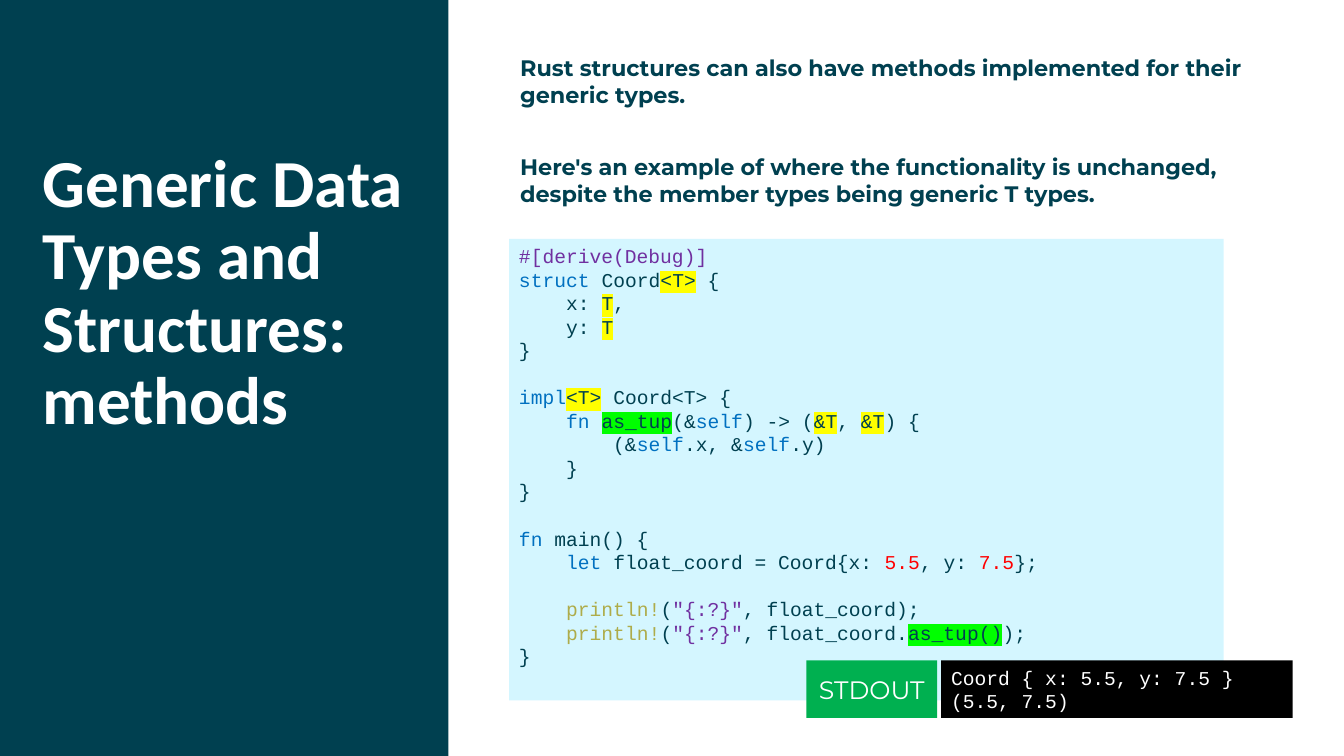
from dataclasses import dataclass, field

from lxml.etree import SubElement
from pptx import Presentation
from pptx.dml.color import RGBColor
from pptx.enum.shapes import MSO_SHAPE
from pptx.enum.text import MSO_ANCHOR, PP_ALIGN
from pptx.oxml.ns import qn
from pptx.util import Cm, Pt

TEAL, WHITE = "004050", "FFFFFF"

# Tag letter -> text colour, highlight
TAGS = {
    "k": ("0070C0", ""),
    "a": ("7030A0", ""),
    "n": ("FF0000", ""),
    "m": ("AEAC4A", ""),
    "t": (TEAL, "FFFF00"),
    "f": (TEAL, "00FF00"),
}

CODE = """~a:#[derive(Debug)]~
~k:struct~ Coord~t:<T>~ {
    x: ~t:T~,
    y: ~t:T~
}

~k:impl~~t:<T>~ Coord<T> {
    ~k:fn ~~f:as_tup~(&~k:self~) -> (~t:&T~, ~t:&T~) {
        (&~k:self~.x, &~k:self~.y)
    }
}

~k:fn~ main() {
    ~k:let ~float_coord = Coord{x: ~n:5.5~, y: ~n:7.5~};

    ~m:println!~(~a:"{:?}"~, float_coord);
    ~m:println!~(~a:"{:?}"~, float_coord.~f:as_tup()~);
}"""

INTRO = """Rust structures can also have methods implemented for their generic types.

Here's an example of where the functionality is unchanged, despite the member types being generic T types."""


@dataclass
class Box:
    left: float
    top: float
    width: float
    height: float
    text: str = ""
    fill: str = ""
    color: str = TEAL
    gap: float = 0
    inset: tuple[float, float] = (0.25, 0.13)
    font: dict = field(default_factory=dict)
    frame: dict = field(default_factory=dict)
    para: dict = field(default_factory=dict)


MONO = {"name": "Courier New", "size": Pt(14)}

BOXES = [
    Box(0, 0, 11.3, 19.05, fill=TEAL),
    Box(1.07, 3.76, 9.58, 7.65, "Generic Data Types and Structures: methods",
        color=WHITE, inset=(0, 0), para={"line_spacing": 0.9},
        font={"name": "Calibri", "size": Pt(48), "bold": True}),
    Box(13.11, 1.37, 19.69, 3.35, INTRO, gap=32.3, inset=(0, 0),
        font={"name": "Montserrat", "size": Pt(16), "bold": True}),
    Box(12.83, 6.02, 18.01, 11.63, CODE, "D4F6FF", gap=16.8, font=MONO),
    Box(20.32, 16.64, 3.3, 1.45, "STDOUT", "00B050", WHITE,
        font={"name": "Montserrat", "size": Pt(18)},
        frame={"vertical_anchor": MSO_ANCHOR.MIDDLE},
        para={"alignment": PP_ALIGN.CENTER}),
    Box(23.72, 16.64, 8.86, 1.45, "Coord { x: 5.5, y: 7.5 }\n(5.5, 7.5)",
        "000000", WHITE, font=MONO),
]


def rgb(code: str) -> RGBColor:
    return RGBColor.from_string(code)


def apply(target, values: dict) -> None:
    for key, value in values.items():
        setattr(target, key, value)


def mark(run, color: str) -> None:
    """Highlight a run whose text colour is already set."""
    props = run.font._element
    light = SubElement(props, qn("a:highlight"))
    SubElement(light, qn("a:srgbClr"), val=color)
    props.find(qn("a:solidFill")).addnext(light)


def add_line(para, line: str, box: Box) -> None:
    """Write one line; pieces between tildes carry a tag letter."""
    for i, piece in enumerate(line.split("~")):
        if not piece:
            continue
        color, light = box.color, ""
        if i % 2:
            tag, _, piece = piece.partition(":")
            color, light = TAGS[tag]
        run = para.add_run()
        run.text = piece
        apply(run.font, box.font)
        run.font.color.rgb = rgb(color)
        if light:
            mark(run, light)


def add_text(frame, box: Box) -> None:
    """Fill a frame; an empty line becomes space before the next one."""
    side, edge = map(Cm, box.inset)
    apply(frame, {"word_wrap": True, "vertical_anchor": MSO_ANCHOR.TOP,
                  "margin_left": side, "margin_right": side,
                  "margin_top": edge, "margin_bottom": edge, **box.frame})
    lines = box.text.split("\n")
    para = frame.paragraphs[0]
    for i, line in enumerate(lines):
        if not line:
            continue
        if i:
            para = frame.add_paragraph()
            if not lines[i - 1]:
                para.space_before = Pt(box.gap)
        apply(para, {"alignment": PP_ALIGN.LEFT, **box.para})
        add_line(para, line, box)


def draw(slide, box: Box) -> None:
    place = [Cm(n) for n in (box.left, box.top, box.width, box.height)]
    if box.fill:
        shape = slide.shapes.add_shape(MSO_SHAPE.RECTANGLE, *place)
        shape.shadow.inherit = False
        shape.fill.solid()
        shape.fill.fore_color.rgb = rgb(box.fill)
        shape.line.fill.background()
    else:
        shape = slide.shapes.add_textbox(*place)
    if box.text:
        add_text(shape.text_frame, box)


def main() -> None:
    deck = Presentation()
    deck.slide_width, deck.slide_height = Cm(33.87), Cm(19.05)
    slide = deck.slides.add_slide(deck.slide_layouts[6])
    for box in BOXES:
        draw(slide, box)
    deck.save("out.pptx")


if __name__ == "__main__":
    main()
